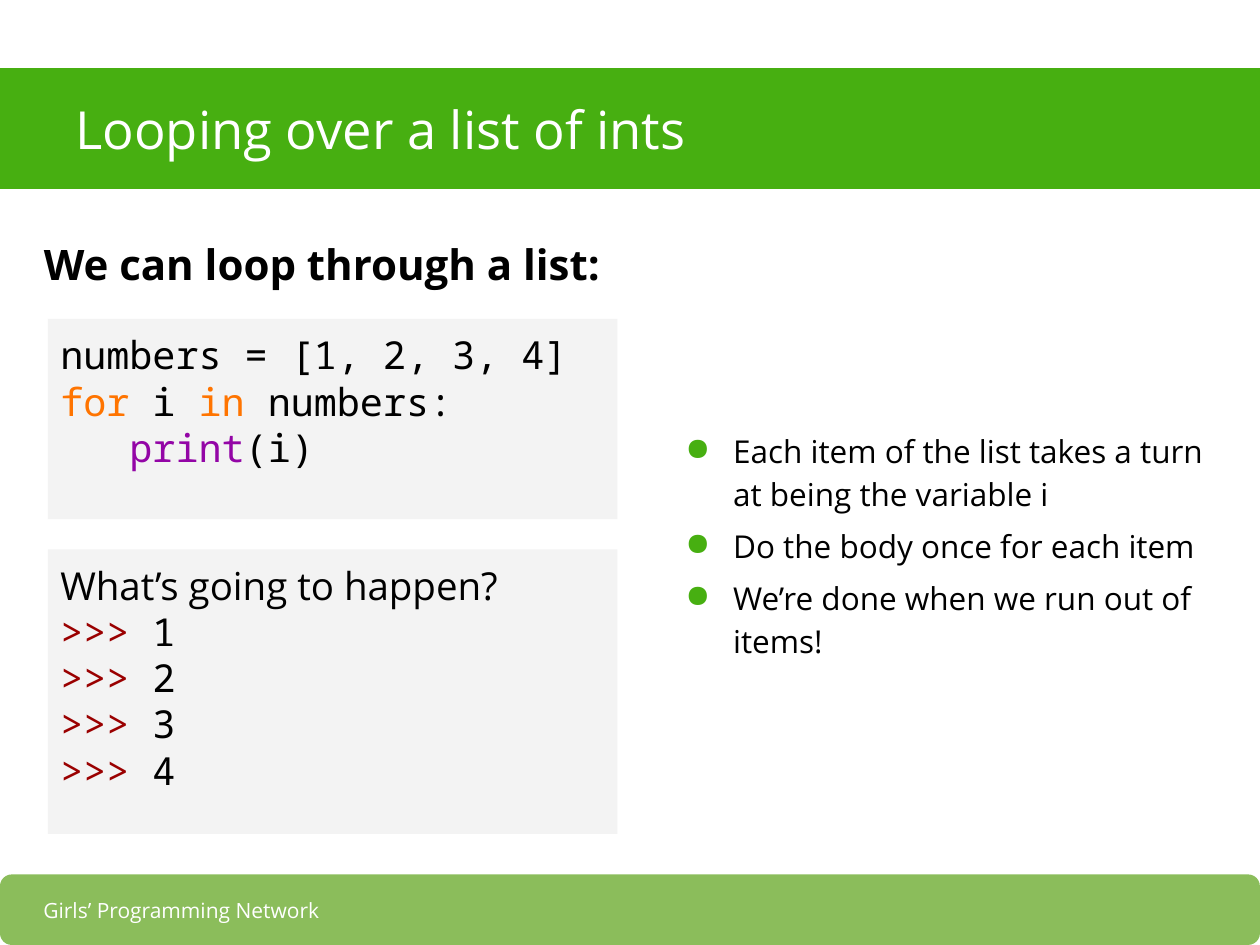
from lxml import etree
from pptx import Presentation, util as u
from pptx.dml.color import RGBColor
from pptx.enum import shapes, text
from pptx.oxml import ns

GREEN = RGBColor(0x47, 0xAF, 0x11)
PALE = RGBColor(0x8B, 0xBD, 0x5B)
GREY = RGBColor(0xF3, 0xF3, 0xF3)
WHITE = RGBColor(0xFF, 0xFF, 0xFF)
BLACK = RGBColor(0, 0, 0)
ORANGE = RGBColor(0xFF, 0x74, 0x00)
PURPLE = RGBColor(0x93, 0x05, 0xA6)
RED = RGBColor(0x9A, 0, 0)
SANS, MONO = "Open Sans", "Noto Sans Mono"
MID = text.MSO_ANCHOR.MIDDLE
TOP = text.MSO_ANCHOR.TOP
CELL = u.Inches(0.125)


def grid(*box):
    """Turn columns and rows of an 80 by 60 grid into lengths."""
    return [round(n * CELL) for n in box]


def panel(slide, box, fill, kind=shapes.MSO_SHAPE.RECTANGLE):
    """Add a plain filled shape."""
    shape = slide.shapes.add_shape(kind, *grid(*box))
    shape.shadow.inherit = False
    shape.fill.solid()
    shape.fill.fore_color.rgb = fill
    shape.line.fill.background()
    return shape


def frame(shape, anchor=TOP):
    """Set wrapping, insets and anchor, and return the text frame."""
    body = shape.text_frame
    body.word_wrap = True
    body.vertical_anchor = anchor
    body.margin_left = body.margin_right = u.Inches(0.1)
    body.margin_top = body.margin_bottom = u.Inches(0.1)
    return body


def style(para, size, color=BLACK, face=SANS, bold=False):
    """Set the font of a whole paragraph."""
    font = para.font
    font.size, font.name, font.bold = u.Pt(size), face, bold
    font.color.rgb = color


def label(slide, box, words, size, color, anchor=TOP, bold=False):
    """Add one line of text and return its paragraph."""
    body = frame(slide.shapes.add_textbox(*grid(*box)), anchor)
    para = body.paragraphs[0]
    para.text = words
    style(para, size, color, bold=bold)
    return para


def header(slide, box, words):
    """Add the title bar."""
    left, top, width, height = box
    panel(slide, box, GREEN)
    label(slide, (left + 4, top, width - 8, height), words, 30, WHITE, MID)


def footer(slide, box, words):
    """Add the rounded footer with its name."""
    left, top, width, _ = box
    panel(slide, box, PALE, shapes.MSO_SHAPE.ROUNDED_RECTANGLE)
    para = label(slide, (left, top + 0.72, width * 0.288, 3.04), words, 12, WHITE, MID)
    para.alignment = text.PP_ALIGN.CENTER


def listing(slide, box, lines):
    """Add a grey panel with lines of coloured runs."""
    body = frame(panel(slide, box, GREY))
    for n, (face, runs) in enumerate(lines):
        para = body.add_paragraph() if n else body.paragraphs[0]
        para.alignment = text.PP_ALIGN.LEFT
        style(para, 22, face=face)
        for words, color in runs:
            run = para.add_run()
            run.text = words
            run.font.color.rgb = color


def bullets(slide, box, items):
    """Add a list with green bullets."""
    body = frame(slide.shapes.add_textbox(*grid(*box)), MID)
    for n, item in enumerate(items):
        para = body.add_paragraph() if n else body.paragraphs[0]
        para.text = item
        para.line_spacing = 1.15
        para.space_before = u.Pt(4.8 if n else 0)
        props = para._p.get_or_add_pPr()
        props.set("marL", str(u.Inches(0.5)))
        props.set("indent", str(u.Inches(-0.38)))
        tint = etree.SubElement(props, ns.qn("a:buClr"))
        etree.SubElement(tint, ns.qn("a:srgbClr"), val=str(GREEN))
        etree.SubElement(props, ns.qn("a:buChar"), char="●")
        style(para, 18)


def main():
    """Build and save the slide."""
    deck = Presentation()
    deck.slide_width, deck.slide_height = grid(80, 60)
    slide = deck.slides.add_slide(deck.slide_layouts[6])
    footer(slide, (0, 55.52, 80, 4.48), "Girls’ Programming Network")
    header(slide, (0, 4.32, 80, 7.68), "Looping over a list of ints")
    lead = label(slide, (2, 13.84, 72, 4.56), "We can loop through a list:", 24, BLACK, bold=True)
    lead.line_spacing = 1.15
    bullets(slide, (41.76, 18.4, 36.16, 32.16), [
        "Each item of the list takes a turn at being the variable i",
        "Do the body once for each item",
        "We’re done when we run out of items!",
    ])
    listing(slide, (3.04, 20.24, 36.16, 12.72), [
        (MONO, [("numbers = [1, 2, 3, 4]", BLACK)]),
        (MONO, [("for ", ORANGE), ("i ", BLACK), ("in ", ORANGE), ("numbers:", BLACK)]),
        (MONO, [("   print", PURPLE), ("(i)", BLACK)]),
    ])
    ask = (SANS, [("What’s going to happen?", BLACK)])
    out = [(MONO, [(">>> ", RED), (str(n), BLACK)]) for n in range(1, 5)]
    listing(slide, (3.04, 34.88, 36.16, 18.08), [ask, *out])
    deck.save("out.pptx")


if __name__ == "__main__":
    main()
